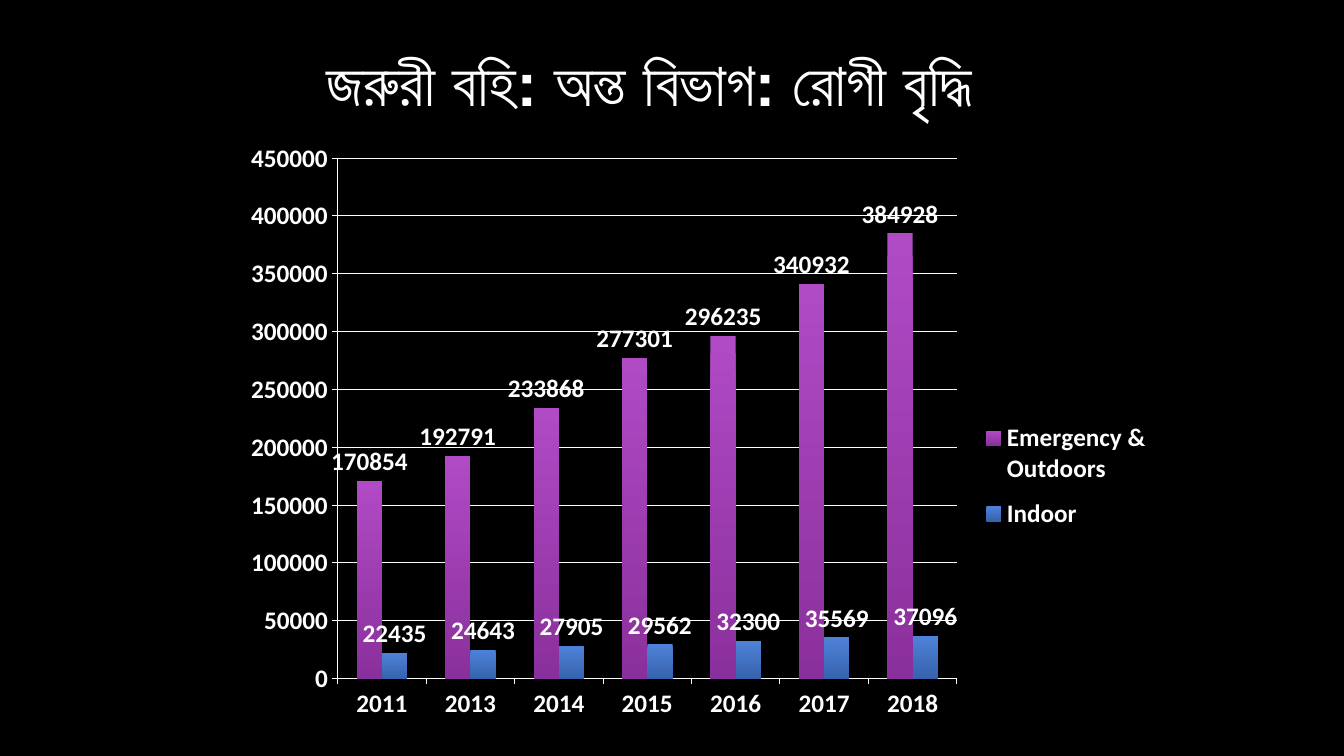
from lxml.etree import SubElement
from pptx import Presentation
from pptx.chart.data import CategoryChartData
from pptx.dml.color import RGBColor
from pptx.enum.chart import XL_CHART_TYPE, XL_LABEL_POSITION, XL_LEGEND_POSITION, XL_TICK_MARK
from pptx.enum.text import MSO_ANCHOR, PP_ALIGN
from pptx.oxml import parse_xml
from pptx.oxml.ns import nsdecls, qn
from pptx.util import Pt

TITLE = "জরুরী বহি: অন্ত বিভাগ: রোগী বৃদ্ধি"
YEARS = ["2011", "2013", "2014", "2015", "2016", "2017", "2018"]
SERIES = [
    ("Emergency & Outdoors", [170854, 192791, 233868, 277301, 296235, 340932, 384928], ("violet", "plum")),
    ("Indoor", [22435, 24643, 27905, 29562, 32300, 35569, 37096], ("sky", "blue")),
]
COLORS = {
    "back": "000000", "text": "FFFFFF",
    "violet": "B04AC5", "plum": "8A309C",
    "sky": "4E82D8", "blue": "3763AE",
}
TITLE_BOX = (128, 17.3, 672, 82)
CHART_BOX = (160, 93.6, 672, 440)
PLOT = {"x": 0.121, "y": 0.044, "w": 0.658, "h": 0.845}
LEGEND = {"x": 0.8, "y": 0.45, "w": 0.19, "h": 0.22}


def color(name):
    return RGBColor.from_string(COLORS[name])


def style(font, face, size):
    font.name, font.size, font.bold = face, Pt(size), True
    font.color.rgb = color("text")


def write(shape, text, face="Arial", size=44, align=PP_ALIGN.CENTER, anchor=MSO_ANCHOR.MIDDLE):
    frame = shape.text_frame
    frame.word_wrap = True
    frame.vertical_anchor = anchor
    para = frame.paragraphs[0]
    para.alignment = align
    run = para.add_run()
    run.text = text
    style(run.font, face, size)


def arrange(node, index, box, inner=False):
    for old in node.findall(qn("c:layout")):
        node.remove(old)
    layout = parse_xml(f"<c:layout {nsdecls('c')}><c:manualLayout/></c:layout>")
    parts = [("layoutTarget", "inner")] if inner else []
    parts += [("xMode", "edge"), ("yMode", "edge"), *box.items()]
    for tag, value in parts:
        SubElement(layout[0], qn(f"c:{tag}")).set("val", str(value))
    node.insert(index, layout)


def draw(slide):
    data = CategoryChartData()
    data.categories = YEARS
    for name, values, _ in SERIES:
        data.add_series(name, values)
    chart = slide.shapes.add_chart(
        XL_CHART_TYPE.COLUMN_CLUSTERED, *map(Pt, CHART_BOX), data).chart
    style(chart.font, "Calibri", 18)
    chart.has_title = False

    plot = chart.plots[0]
    plot.gap_width, plot.overlap, plot.vary_by_categories = 150, 0, False
    for series, (_, _, shades) in zip(plot.series, SERIES):
        fill = series.format.fill
        fill.gradient()
        fill.gradient_angle = 270
        for stop, shade in zip(fill.gradient_stops, shades):
            stop.color.rgb = color(shade)
        labels = series.data_labels
        labels.show_value = True
        labels.position = XL_LABEL_POSITION.OUTSIDE_END
        style(labels.font, "Calibri", 18)

    scale = chart.value_axis
    scale.minimum_scale, scale.maximum_scale, scale.major_unit = 0, 450000, 50000
    scale.has_major_gridlines = True
    for axis in (chart.category_axis, scale):
        axis.major_tick_mark = XL_TICK_MARK.OUTSIDE
        axis.minor_tick_mark = XL_TICK_MARK.NONE
        style(axis.tick_labels.font, "Calibri", 18)
    for item in (chart.category_axis, scale, scale.major_gridlines):
        item.format.line.color.rgb = color("text")
        item.format.line.width = Pt(0.75)

    chart.has_legend = True
    legend = chart.legend
    legend.position = XL_LEGEND_POSITION.RIGHT
    legend.include_in_layout = False
    style(legend.font, "Calibri", 18)
    arrange(legend._element, 1, LEGEND)
    arrange(chart._chartSpace.chart.plotArea, 0, PLOT, inner=True)


def main():
    deck = Presentation()
    deck.slide_width, deck.slide_height = Pt(960), Pt(540)
    slide = deck.slides.add_slide(deck.slide_layouts[5])
    slide.background.fill.solid()
    slide.background.fill.fore_color.rgb = color("back")
    title = slide.shapes.title
    title.left, title.top, title.width, title.height = map(Pt, TITLE_BOX)
    write(title, TITLE)
    draw(slide)
    deck.save("out.pptx")


if __name__ == "__main__":
    main()
